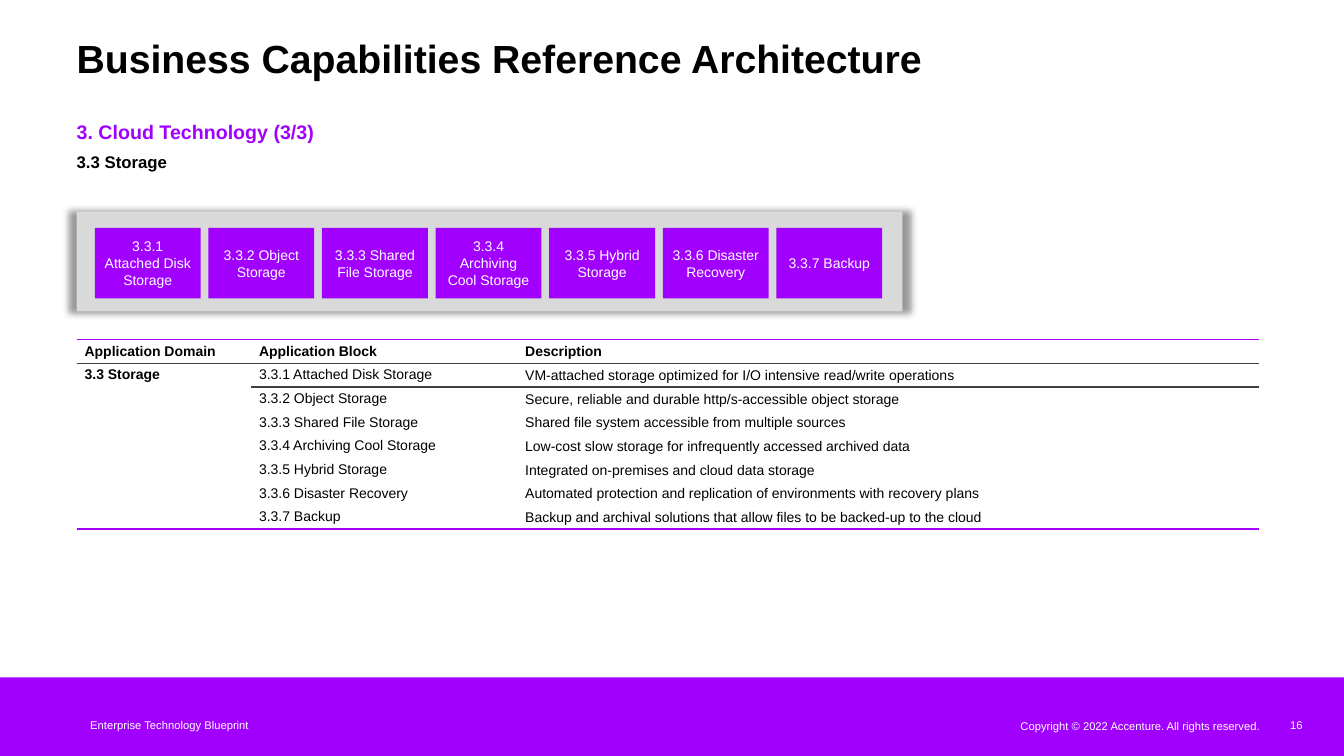
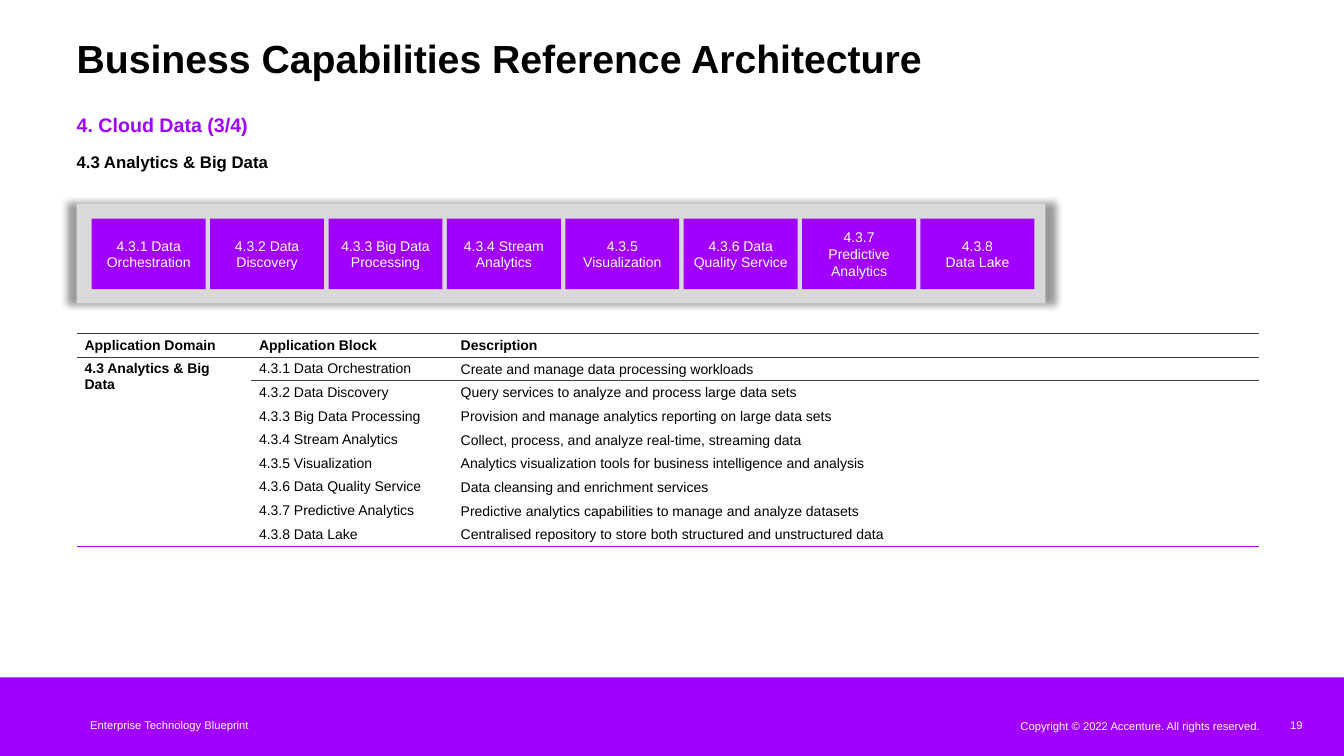
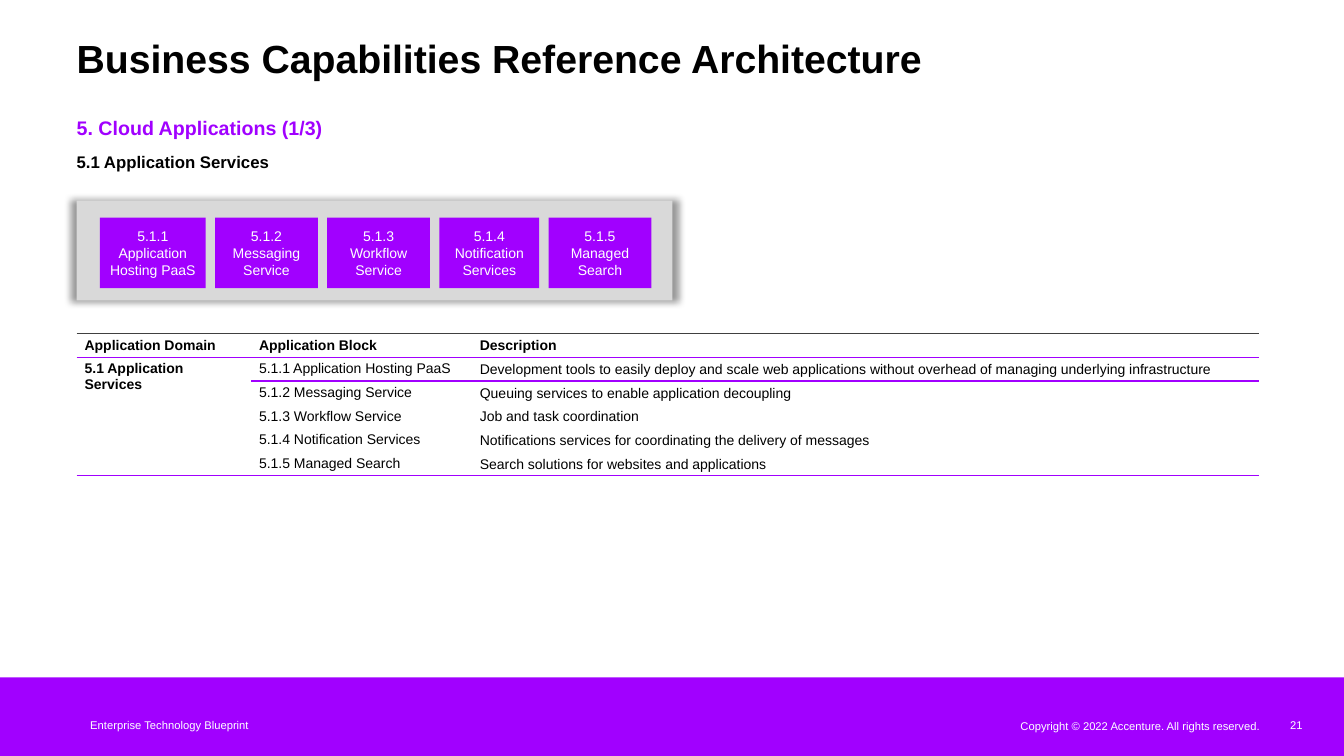
from lxml import etree
from pptx import Presentation
from pptx.dml.color import RGBColor
from pptx.enum.shapes import MSO_SHAPE as Shape
from pptx.enum.text import MSO_ANCHOR as Anchor, MSO_AUTO_SIZE as AutoSize, PP_ALIGN as Align
from pptx.oxml.ns import qn
from pptx.util import Inches, Pt

# Shared style
FONT = "Arial"
PURPLE, GREY, DARK = "A100FF", "D9D9D9", "404040"
BLACK, WHITE = "000000", "FFFFFF"
LEFT = 0.76
TILE_H, PANEL_H = 0.7, 0.99
NO_GRID = "{2D5ABB26-0587-4C30-8999-92F81FD0307C}"
TITLE = "Business Capabilities Reference Architecture"
HEADERS = ("Application Domain", "Application Block", "Description")

# Content; a line break in a block name applies to its tile only
STORAGE = dict(
    page="16", heading="3. Cloud Technology (3/3)", heading_top=1.19,
    domain="3.3 Storage", panel=(2.1, 8.19),
    tiles=(0.94, 8.75, 2.26), widths=[1.05] * 7,
    table=(3.37, 1.88), cols=(1.73, 2.64, 7.36), rules=(PURPLE, DARK, PURPLE),
    rows=[
        ("3.3.1 Attached Disk Storage",
         "VM-attached storage optimized for I/O intensive read/write operations"),
        ("3.3.2 Object Storage",
         "Secure, reliable and durable http/s-accessible object storage"),
        ("3.3.3 Shared File Storage",
         "Shared file system accessible from multiple sources"),
        ("3.3.4 Archiving Cool Storage",
         "Low-cost slow storage for infrequently accessed archived data"),
        ("3.3.5 Hybrid Storage",
         "Integrated on-premises and cloud data storage"),
        ("3.3.6 Disaster Recovery",
         "Automated protection and replication of environments with recovery plans"),
        ("3.3.7 Backup",
         "Backup and archival solutions that allow files to be backed-up to the cloud"),
    ])

ANALYTICS = dict(
    page="19", heading="4. Cloud Data (3/4)", heading_top=1.12,
    domain="4.3 Analytics & Big Data", panel=(2.02, 9.61),
    tiles=(0.91, 10.26, 2.17), widths=[1.13] * 8,
    table=(3.31, 2.11), cols=(1.73, 2, 8), rules=(DARK, DARK, PURPLE),
    rows=[
        ("4.3.1 Data Orchestration", "Create and manage data processing workloads"),
        ("4.3.2 Data Discovery",
         "Query services to analyze and process large data sets"),
        ("4.3.3 Big Data Processing",
         "Provision and manage analytics reporting on large data sets"),
        ("4.3.4 Stream Analytics",
         "Collect, process, and analyze real-time, streaming data"),
        ("4.3.5 Visualization",
         "Analytics visualization tools for business intelligence and analysis"),
        ("4.3.6 Data Quality Service", "Data cleansing and enrichment services"),
        ("4.3.7 Predictive Analytics",
         "Predictive analytics capabilities to manage and analyze datasets"),
        ("4.3.8\nData Lake",
         "Centralised repository to store both structured and unstructured data"),
    ])

APPLICATIONS = dict(
    page="21", heading="5. Cloud Applications (1/3)", heading_top=1.15,
    domain="5.1 Application Services", panel=(1.99, 5.91),
    tiles=(0.99, 6.46, 2.16), widths=[1.05, 1.02, 1.02, 0.99, 1.02],
    table=(3.31, 1.41), cols=(1.73, 2.19, 7.81), rules=(DARK, PURPLE, PURPLE),
    rows=[
        ("5.1.1 Application\nHosting PaaS",
         "Development tools to easily deploy and scale web applications without "
         "overhead of managing underlying infrastructure"),
        ("5.1.2 Messaging Service", "Queuing services to enable application decoupling"),
        ("5.1.3\nWorkflow Service", "Job and task coordination"),
        ("5.1.4 Notification Services",
         "Notifications services for coordinating the delivery of messages"),
        ("5.1.5\nManaged Search", "Search solutions for websites and applications"),
    ])


# Helpers
def rgb(color):
    return RGBColor.from_string(color)


def place(sp, x, y, w, h):
    sp.left, sp.top, sp.width, sp.height = map(Inches, (x, y, w, h))


def add_run(p, text, size, color, bold=False):
    r = p.add_run()
    r.text = text
    r.font.name, r.font.size, r.font.bold = FONT, Pt(size), bold
    r.font.color.rgb = rgb(color)


def set_frame(tf, anchor=Anchor.TOP):
    tf.word_wrap = True
    tf.auto_size = AutoSize.NONE
    tf.vertical_anchor = anchor
    tf.margin_left = tf.margin_right = tf.margin_top = tf.margin_bottom = 0


def add_rect(s, x, y, w, h, color):
    sp = s.shapes.add_shape(Shape.RECTANGLE, *map(Inches, (x, y, w, h)))
    sp.shadow.inherit = False
    sp.fill.solid()
    sp.fill.fore_color.rgb = rgb(color)
    sp.line.fill.background()
    return sp


def add_glow_shadow(sp):
    effects = sp._element.spPr.find(qn("a:effectLst"))
    shadow = etree.SubElement(effects, qn("a:outerShdw"), blurRad="63500",
                              sx="102000", sy="102000", algn="ctr", rotWithShape="0")
    color = etree.SubElement(shadow, qn("a:srgbClr"), val=BLACK)
    etree.SubElement(color, qn("a:alpha"), val="40000")


def add_footer_text(s, x, y, w, h, text):
    tf = s.shapes.add_textbox(*map(Inches, (x, y, w, h))).text_frame
    set_frame(tf, Anchor.MIDDLE)
    p = tf.paragraphs[0]
    p.alignment = Align.RIGHT
    add_run(p, text, 8, WHITE)


def set_border(cell, side, color):
    ln = etree.SubElement(cell._tc.get_or_add_tcPr(), qn("a:ln" + side), w="12700")
    fill = etree.SubElement(ln, qn("a:solidFill"))
    etree.SubElement(fill, qn("a:srgbClr"), val=color)


# Slide parts
def add_footer(s, page):
    add_rect(s, 0, 6.72, 13.33, 0.78, PURPLE)
    add_footer_text(s, 9.1, 7.09, 3.4, 0.22,
                    "Copyright © 2022 Accenture. All rights reserved.")
    add_footer_text(s, 12.5, 7.08, 0.42, 0.23, page)
    add_footer_text(s, 0.74, 7.13, 1.73, 0.13, "Enterprise Technology Blueprint")


def fill_title(s):
    sp = s.shapes.title
    place(sp, LEFT, 0.42, 12.16, 0.38)
    set_frame(sp.text_frame, Anchor.BOTTOM)
    p = sp.text_frame.paragraphs[0]
    p.alignment, p.line_spacing = Align.LEFT, 0.8
    add_run(p, TITLE, 28, BLACK, True)


def fill_heading(sp, y, w, text, size, color):
    place(sp, LEFT, y, w, 0.24)
    set_frame(sp.text_frame)
    p = sp.text_frame.paragraphs[0]
    pPr = p._p.get_or_add_pPr()
    pPr.set("marL", "0")
    pPr.set("indent", "0")
    etree.SubElement(pPr, qn("a:buNone"))
    p.space_before = Pt(0)
    add_run(p, text, size, color, True)


def add_tile(s, x, y, w, label):
    tf = add_rect(s, x, y, w, TILE_H, PURPLE).text_frame
    tf.word_wrap = True
    tf.vertical_anchor = Anchor.MIDDLE
    for i, line in enumerate(label.split("\n")):
        p = tf.add_paragraph() if i else tf.paragraphs[0]
        p.alignment = Align.CENTER
        add_run(p, line, 10, WHITE)


def add_tile_panel(s, panel, tiles, widths, labels):
    top, width = panel
    add_glow_shadow(add_rect(s, LEFT, top, width, PANEL_H, GREY))
    x, right, y = tiles
    gap = (right - x - sum(widths)) / (len(widths) - 1)
    for w, label in zip(widths, labels):
        add_tile(s, x, y, w, label)
        x += w + gap


def fill_cell(cell, text, bold, anchor):
    cell.margin_left = cell.margin_right = Inches(0.08)
    cell.margin_top, cell.margin_bottom = Inches(0.04), Inches(0.03)
    cell.vertical_anchor = anchor
    cell.fill.background()
    if text:
        add_run(cell.text_frame.paragraphs[0], text, 10, BLACK, bold)


def add_block_table(s, domain, rows, position, cols, rules):
    top, height = position
    grid = [HEADERS] + [("" if i else domain, name.replace("\n", " "), about)
                        for i, (name, about) in enumerate(rows)]
    last = len(grid) - 1
    frame = s.shapes.add_table(len(grid), len(cols), Inches(LEFT), Inches(top),
                               Inches(sum(cols)), Inches(height))
    tbl = frame.table
    tbl.first_row = tbl.horz_banding = False
    tbl._tbl.tblPr.find(qn("a:tableStyleId")).text = NO_GRID
    for col, w in zip(tbl.columns, cols):
        col.width = Inches(w)
    top_rule, header_rule, bottom_rule = rules
    for i, texts in enumerate(grid):
        for j, text in enumerate(texts):
            cell = tbl.cell(i, j)
            if i == 0:
                set_border(cell, "T", top_rule)
                set_border(cell, "B", header_rule)
            if i == 1:
                set_border(cell, "T", header_rule)
            if i == last or (i, j) == (1, 0):
                set_border(cell, "B", bottom_rule)
            middle = i > 0 and j == 2
            fill_cell(cell, text, i == 0 or j == 0,
                      Anchor.MIDDLE if middle else Anchor.TOP)
    tbl.cell(1, 0).merge(tbl.cell(last, 0))


def add_capability_slide(prs, d):
    s = prs.slides.add_slide(prs.slide_layouts.get_by_name("Two Content"))
    add_footer(s, d["page"])
    fill_title(s)
    fill_heading(s.placeholders[1], d["heading_top"], 12.16, d["heading"], 14, PURPLE)
    fill_heading(s.placeholders[2], 1.51, 6, d["domain"], 12, BLACK)
    add_tile_panel(s, d["panel"], d["tiles"], d["widths"],
                   [name for name, _ in d["rows"]])
    add_block_table(s, d["domain"], d["rows"], d["table"], d["cols"], d["rules"])


def main():
    prs = Presentation()
    prs.slide_width, prs.slide_height = Inches(13.33), Inches(7.5)
    for content in (STORAGE, ANALYTICS, APPLICATIONS):
        add_capability_slide(prs, content)
    prs.save("out.pptx")


if __name__ == "__main__":
    main()
